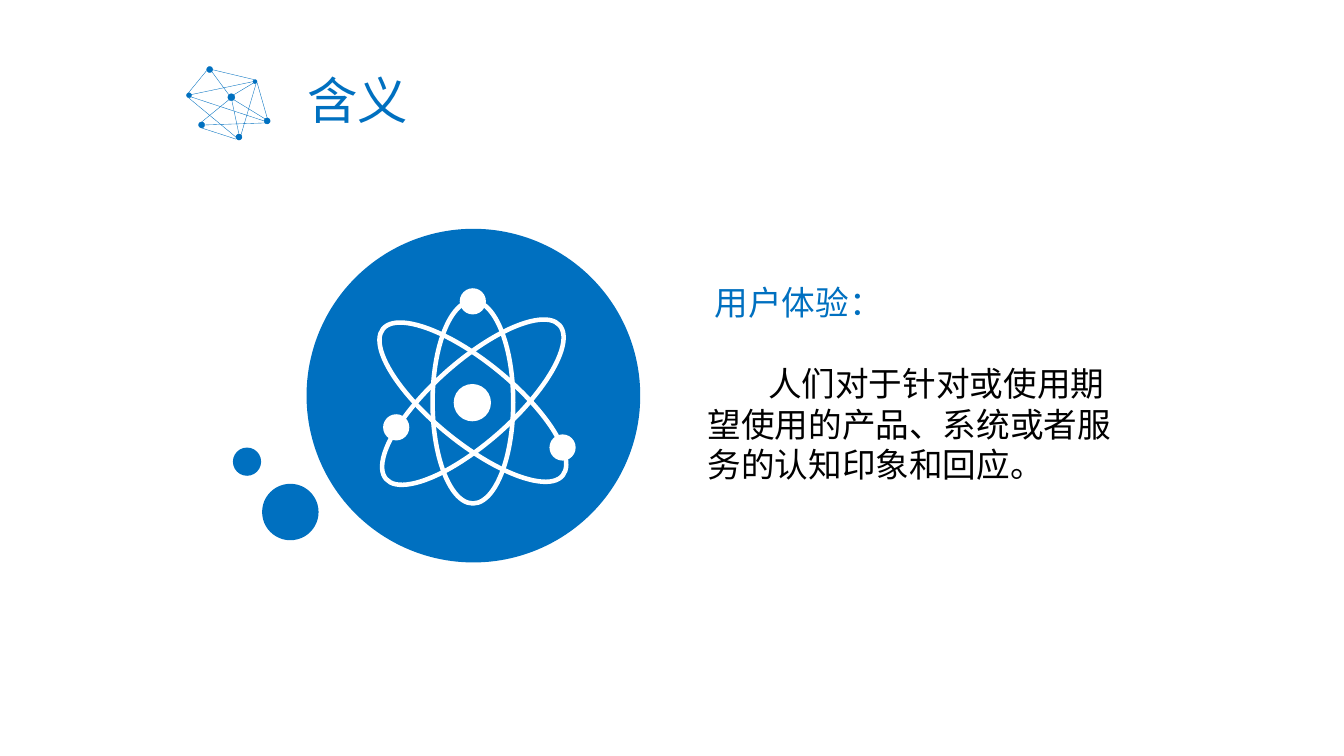
"""Build the slide that explains the meaning of user experience."""
import pptx
import pptx.dml.color
import pptx.enum.shapes
import pptx.enum.text
import pptx.oxml.ns
import pptx.oxml.xmlchemy
import pptx.util
from pptx.util import Inches

COLORS = {"blue": "0070C0", "white": "FFFFFF", "black": "000000"}
FONT = "Roboto"
HAIRLINE = 0.25

NETWORK_LINKS = [
    (2.05, 0.70, 1.87, 0.92),
    (2.10, 0.69, 2.52, 0.79),
    (2.10, 0.71, 2.27, 0.94),
    (1.87, 0.97, 2.34, 1.36),
    (2.62, 1.20, 1.89, 0.96),
    (2.51, 0.81, 1.89, 0.94),
    (2.39, 1.34, 2.54, 0.83),
    (2.30, 1.00, 2.37, 1.33),
    (2.32, 0.99, 2.63, 1.18),
    (2.52, 0.82, 2.32, 0.94),
    (2.55, 0.82, 2.65, 1.17),
    (2.27, 0.99, 2.00, 1.21),
    (2.00, 1.27, 2.34, 1.38),
    (2.63, 1.22, 2.03, 1.24),
]
NETWORK_NODES = [
    (2.05, 0.66, 0.06),
    (2.26, 0.93, 0.07),
    (2.51, 0.79, 0.04),
    (1.97, 1.21, 0.06),
    (1.85, 0.92, 0.05),
    (2.34, 1.33, 0.06),
    (2.62, 1.17, 0.06),
]
BUBBLES = [(2.6, 4.8, 0.56), (2.31, 4.44, 0.28), (3.04, 2.27, 3.31)]
ATOM_CENTER = (4.69, 3.99)
ORBIT_WIDTH = 0.8
ORBITS = [(2.01, 90), (2.3, 39.2), (2.3, -41.6)]
NUCLEUS = (4.5, 3.81, 0.37)
ELECTRONS = [(3.8, 4.11), (5.45, 4.31), (4.56, 2.86)]
ELECTRON_SIZE = 0.26


def rgb(name):
    """Return the named colour."""
    return pptx.dml.color.RGBColor.from_string(COLORS[name])


def add_ellipse(slide, left, top, width, height, fill=None, line=None, weight=HAIRLINE):
    """Add an ellipse with an optional fill and outline."""
    shape = slide.shapes.add_shape(
        pptx.enum.shapes.MSO_SHAPE.OVAL,
        Inches(left), Inches(top), Inches(width), Inches(height))
    shape.shadow.inherit = False
    if fill:
        shape.fill.solid()
        shape.fill.fore_color.rgb = rgb(fill)
    else:
        shape.fill.background()
    if line:
        shape.line.color.rgb = rgb(line)
        shape.line.width = pptx.util.Pt(weight)
    else:
        shape.line.fill.background()
    return shape


def add_circle(slide, left, top, size, fill, line=None):
    """Add a filled circle."""
    return add_ellipse(slide, left, top, size, size, fill, line)


def add_link(slide, start_x, start_y, end_x, end_y):
    """Add a hairline between two network nodes."""
    connector = slide.shapes.add_connector(
        pptx.enum.shapes.MSO_CONNECTOR.STRAIGHT,
        Inches(start_x), Inches(start_y), Inches(end_x), Inches(end_y))
    connector.line.color.rgb = rgb("blue")
    connector.line.width = pptx.util.Pt(HAIRLINE)
    properties = connector._element.find(pptx.oxml.ns.qn("p:spPr"))
    properties.append(pptx.oxml.xmlchemy.OxmlElement("a:effectLst"))


def add_orbit(slide, length, rotation):
    """Add an electron orbit around the centre of the atom."""
    center_x, center_y = ATOM_CENTER
    orbit = add_ellipse(
        slide, center_x - length / 2, center_y - ORBIT_WIDTH / 2,
        length, ORBIT_WIDTH, line="white", weight=3.25)
    orbit.rotation = rotation


def add_text_box(slide, left, top, width, height, anchor):
    """Add a wrapping text box and return its text frame."""
    frame = slide.shapes.add_textbox(
        Inches(left), Inches(top), Inches(width), Inches(height)).text_frame
    frame.word_wrap = True
    frame.vertical_anchor = anchor
    return frame


def add_run(paragraph, text, size, color):
    """Add a run of text in the slide font."""
    run = paragraph.add_run()
    run.text = text
    run.font.size = pptx.util.Pt(size)
    run.font.name = FONT
    run.font.color.rgb = rgb(color)
    east_asian = pptx.oxml.xmlchemy.OxmlElement("a:ea")
    east_asian.set("typeface", FONT)
    run.font._element.find(pptx.oxml.ns.qn("a:latin")).addnext(east_asian)


def set_first_line_indent(paragraph, indent):
    """Indent the first line of a paragraph."""
    paragraph._p.get_or_add_pPr().set("indent", str(int(Inches(indent))))


def add_network(slide):
    """Draw the network emblem beside the title."""
    for link in NETWORK_LINKS:
        add_link(slide, *link)
    for node in NETWORK_NODES:
        add_circle(slide, *node, "blue", "blue")


def add_atom(slide):
    """Draw the blue bubbles and the white atom."""
    for bubble in BUBBLES:
        add_circle(slide, *bubble, "blue")
    add_circle(slide, *NUCLEUS, "white")
    for length, rotation in ORBITS:
        add_orbit(slide, length, rotation)
    for left, top in ELECTRONS:
        add_circle(slide, left, top, ELECTRON_SIZE, "white")


def add_title(slide):
    """Add the slide title."""
    frame = add_text_box(slide, 2.95, 0.59, 7.93, 0.86, pptx.enum.text.MSO_ANCHOR.MIDDLE)
    paragraph = frame.paragraphs[0]
    paragraph.line_spacing = 0.9
    add_run(paragraph, "含义", 36, "blue")


def add_definition(slide):
    """Add the term and its definition."""
    frame = add_text_box(slide, 6.92, 2.75, 4.38, 2.12, pptx.enum.text.MSO_ANCHOR.TOP)
    term = frame.paragraphs[0]
    set_first_line_indent(term, 0.07)
    add_run(term, "用户体验：", 24, "blue")
    definition = frame.add_paragraph()
    definition.space_before = pptx.util.Pt(29)
    set_first_line_indent(definition, 0.6)
    add_run(definition, "人们对于针对或使用期望使用的产品、系统或者服务的认知印象和回应。", 24, "black")


def main():
    """Build and save the presentation."""
    presentation = pptx.Presentation()
    presentation.slide_width = Inches(13.33)
    presentation.slide_height = Inches(7.5)
    slide = presentation.slides.add_slide(presentation.slide_layouts[6])
    add_network(slide)
    add_title(slide)
    add_atom(slide)
    add_definition(slide)
    presentation.save("out.pptx")


if __name__ == "__main__":
    main()
